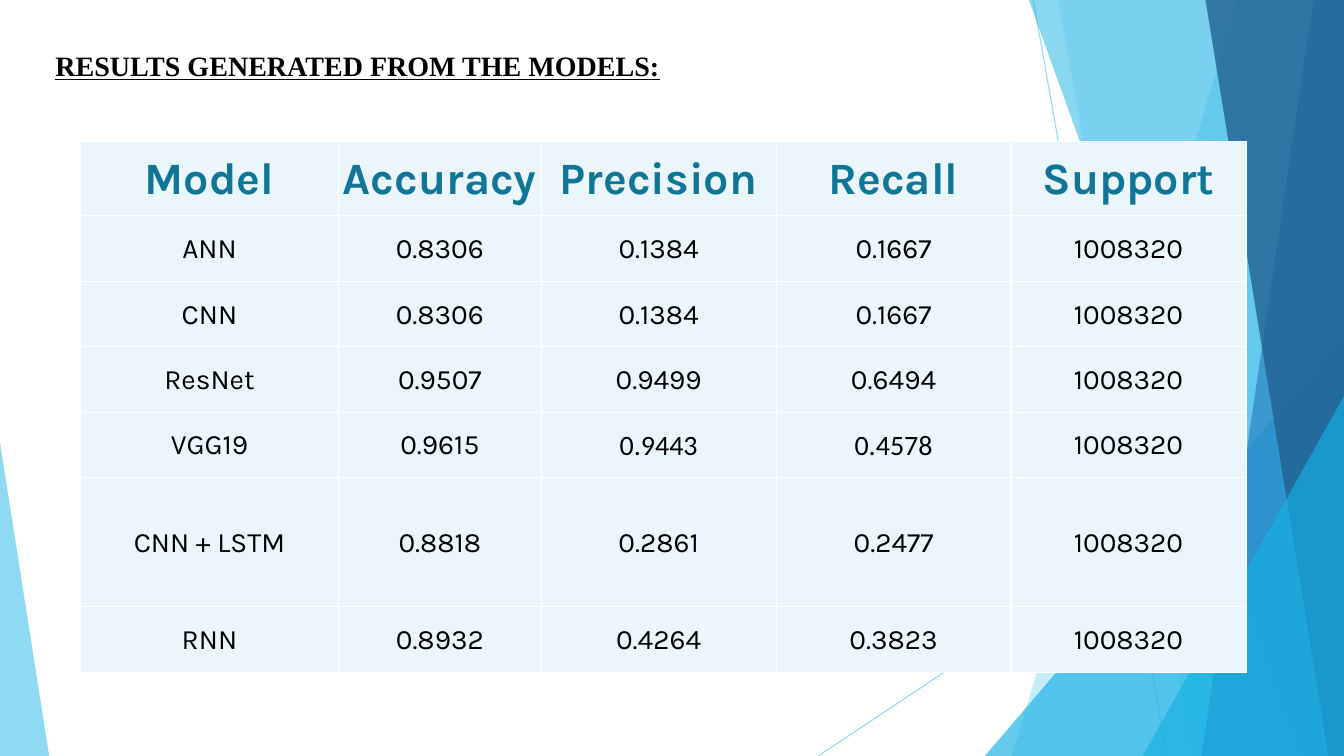
"""Build a slide with a table comparing the results of six neural network models."""
import dataclasses

import lxml.etree
import pptx
import pptx.dml.color
import pptx.enum.dml
import pptx.enum.shapes
import pptx.enum.text
import pptx.oxml
import pptx.oxml.ns
import pptx.util

Cm = pptx.util.Cm
Pt = pptx.util.Pt
RGB = pptx.dml.color.RGBColor.from_string
qn = pptx.oxml.ns.qn


@dataclasses.dataclass(frozen=True)
class Theme:
    sky: str = "5FCBEF"
    cyan: str = "17B0E4"
    blue: str = "2E83C3"
    navy: str = "226292"
    cell: str = "EAF6FC"
    border: str = "FFFFFF"
    header: str = "0F7698"
    text: str = "000000"
    title_font: str = "Times New Roman"
    table_font: str = "Karla"
    alt_font: str = "Calibri"
    title_size: int = 20
    header_size: int = 32
    body_size: int = 20


theme = Theme()


def paint(fill, colour, alpha):
    fill.solid()
    fill.fore_color.rgb = RGB(colour)
    clr = fill._xPr.find(".//" + qn("a:srgbClr"))
    lxml.etree.SubElement(clr, qn("a:alpha"), val=str(alpha * 1000))


def style(r, font, size, colour, bold):
    r.font.name = font
    r.font.size = Pt(size)
    r.font.color.rgb = RGB(colour)
    r.font.bold = bold


prs = pptx.Presentation()
prs.slide_width, prs.slide_height = Cm(33.87), Cm(19.05)
right, bottom = prs.slide_width, prs.slide_height
s = prs.slides.add_slide(prs.slide_layouts[5])

for x1, y1, x2, y2 in [(26.04, 0, 29.41, 19.05), (33.87, 10.24, 20.62, 19.05)]:
    line = s.shapes.add_connector(
        pptx.enum.shapes.MSO_CONNECTOR.STRAIGHT, Cm(x1), Cm(y1), Cm(x2), Cm(y2))
    line.line.width = Pt(0.75)
    paint(line.line.fill, theme.sky, 70)
    lxml.etree.SubElement(line._element.spPr, qn("a:effectLst"))

facets = [
    ("band", (31.19, 25.5), theme.sky, 36),
    ("band", (26.67, 30.05), theme.sky, 20),
    ("triangle", (24.82, 8.46, 9.05, 1), theme.cyan, 66),
    ("band", (25.93, 32.79), theme.cyan, 50),
    ("band", (33.1, 30.28), theme.blue, 70),
    ("band", (30.38, 33.48), theme.navy, 80),
    ("triangle", (28.8, 9.98, 5.07, 1), theme.cyan, 66),
    ("triangle", (0, 11.15, 1.24, 0), theme.sky, 70),
]
for kind, dims, colour, alpha in facets:
    if kind == "band":
        top_x, bottom_x = map(Cm, dims)
        outline = s.shapes.build_freeform(top_x, 0)
        outline.add_line_segments([(right, 0), (right, bottom), (bottom_x, bottom)])
        sp = outline.convert_to_shape()
    else:
        left, top, width = map(Cm, dims[:3])
        sp = s.shapes.add_shape(
            pptx.enum.shapes.MSO_SHAPE.ISOSCELES_TRIANGLE, left, top, width, bottom - top)
        sp.adjustments[0] = dims[3]
    sp.shadow.inherit = False
    sp.line.fill.background()
    paint(sp.fill, colour, alpha)

title = s.shapes.title
title.left, title.top, title.width, title.height = Cm(1.14), Cm(1.09), Cm(20.7), Cm(1.12)
tf = title.text_frame
tf.word_wrap = True
tf.vertical_anchor = pptx.enum.text.MSO_ANCHOR.TOP
p = tf.paragraphs[0]
p.alignment = pptx.enum.text.PP_ALIGN.LEFT
r = p.add_run()
r.text = "RESULTS GENERATED FROM THE MODELS:"
style(r, theme.title_font, theme.title_size, theme.text, True)
r.font.underline = True

support = "1008320"
results = [
    ("Model", "Accuracy", "Precision", "Recall", "Support"),
    ("ANN", "0.8306", "0.1384", "0.1667", support),
    ("CNN", "0.8306", "0.1384", "0.1667", support),
    ("ResNet", "0.9507", "0.9499", "0.6494", support),
    ("VGG19", "0.9615", "0.9443", "0.4578", support),
    ("CNN + LSTM", "0.8818", "0.2861", "0.2477", support),
    ("RNN", "0.8932", "0.4264", "0.3823", support),
]
col_widths = [6.5, 5.11] + [5.92] * 3
row_heights = [1.88] + [1.65] * 4 + [3.25, 1.65]
table = s.shapes.add_table(
    len(results), len(col_widths), Cm(2.03), Cm(3.56),
    Cm(sum(col_widths)), Cm(sum(row_heights))).table
for col, width in zip(table.columns, col_widths):
    col.width = Cm(width)
for row, height in zip(table.rows, row_heights):
    row.height = Cm(height)

for i, values in enumerate(results):
    for j, value in enumerate(values):
        cell = table.cell(i, j)
        cell.margin_left = cell.margin_right = cell.margin_top = Cm(0.03)
        cell.margin_bottom = 0
        cell.vertical_anchor = pptx.enum.text.MSO_ANCHOR.MIDDLE
        tcPr = cell._tc.get_or_add_tcPr()
        for side in ("a:lnL", "a:lnR", "a:lnT", "a:lnB"):
            ln = lxml.etree.SubElement(tcPr, qn(side), w=str(Pt(1)))
            solid = lxml.etree.SubElement(ln, qn("a:solidFill"))
            lxml.etree.SubElement(solid, qn("a:srgbClr"), val=theme.border)
        cell.fill.solid()
        cell.fill.fore_color.rgb = RGB(theme.cell)
        p = cell.text_frame.paragraphs[0]
        p.alignment = pptx.enum.text.PP_ALIGN.CENTER
        r = p.add_run()
        r.text = value
        if i == 0:
            style(r, theme.table_font, theme.header_size, theme.header, True)
        else:
            alt = values[0] == "VGG19" and j in (2, 3)
            font = theme.alt_font if alt else theme.table_font
            style(r, font, theme.body_size, theme.text, False)

prs.save("out.pptx")
